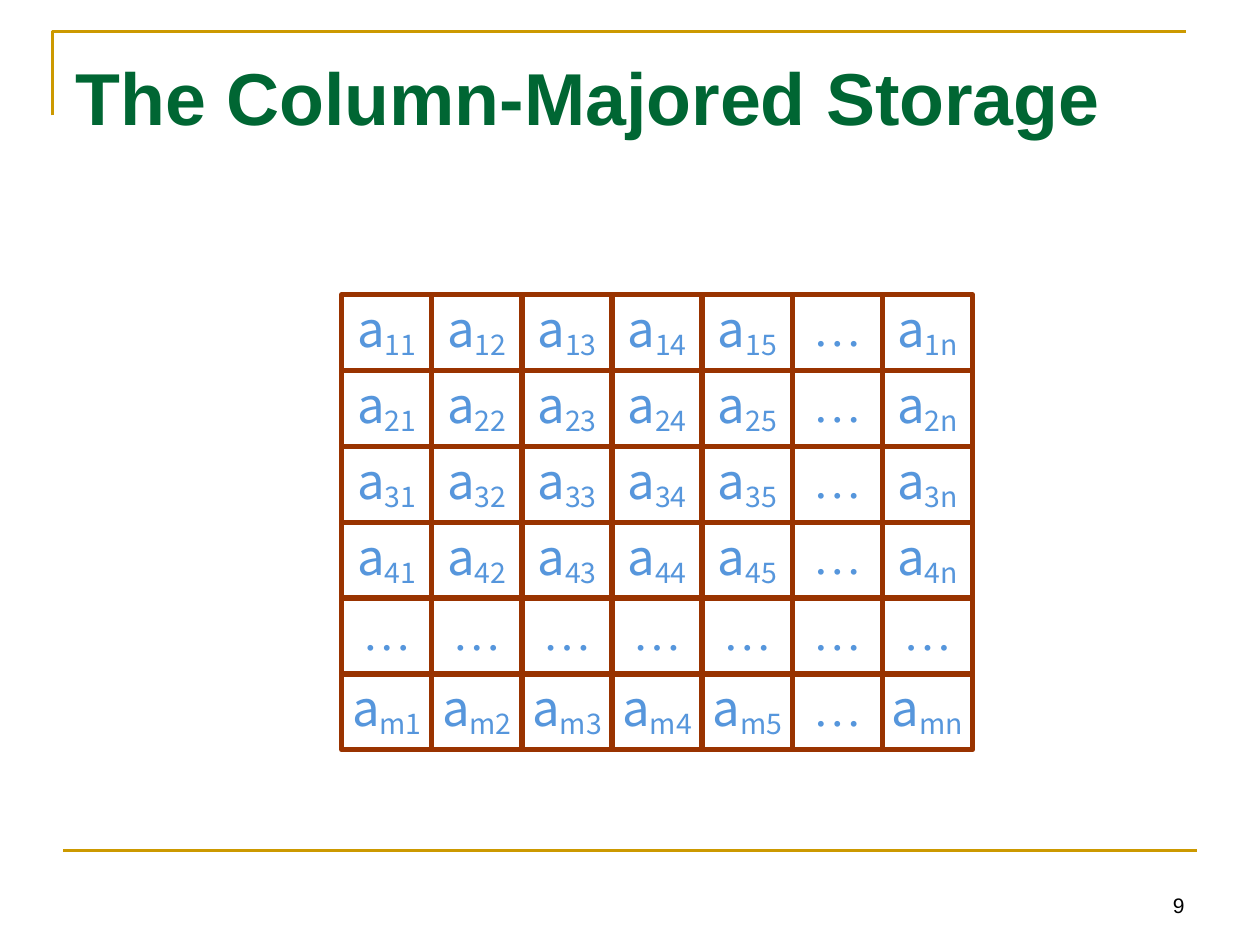
import pptx
import pptx.util
import pptx.dml.color
import pptx.enum.shapes
import pptx.enum.text
import pptx.oxml.ns
import lxml.etree

Pt = pptx.util.Pt
RGBColor = pptx.dml.color.RGBColor
MSO_ANCHOR = pptx.enum.text.MSO_ANCHOR
PP_ALIGN = pptx.enum.text.PP_ALIGN

GOLD = RGBColor(0xCC, 0x99, 0x00)
GREEN = RGBColor(0x00, 0x66, 0x33)
BROWN = RGBColor(0x99, 0x33, 0x00)
BLUE = RGBColor(0x56, 0x96, 0xDC)
WHITE = RGBColor(0xFF, 0xFF, 0xFF)
BLACK = RGBColor(0x00, 0x00, 0x00)

CELL_LEFT, CELL_TOP = 195.25, 168.4
CELL_W, CELL_H = 51.5, 43.35
ROWS = ["1", "2", "3", "4", "…", "m"]
COLUMNS = ["1", "2", "3", "4", "5", "…", "n"]

prs = pptx.Presentation()
prs.slide_width, prs.slide_height = Pt(720), Pt(540)
s = prs.slides.add_slide(prs.slide_layouts[6])


def add_text(text, left, top, width, height, size, color):
    """Add a one-paragraph Arial text box and return its frame and paragraph."""
    tf = s.shapes.add_textbox(Pt(left), Pt(top), Pt(width), Pt(height)).text_frame
    tf.word_wrap = True
    p = tf.paragraphs[0]
    p.text = text
    p.font.name, p.font.size = "Arial", Pt(size)
    p.font.color.rgb = color
    return tf, p


# Gold frame lines
fb = s.shapes.build_freeform(Pt(30), Pt(66))
fb.add_line_segments([(Pt(30), Pt(18)), (Pt(678), Pt(18))], close=False)
corner = fb.convert_to_shape()
corner.shadow.inherit = False
corner.fill.background()
rule = s.shapes.add_connector(
    pptx.enum.shapes.MSO_CONNECTOR.STRAIGHT, Pt(36), Pt(486), Pt(684), Pt(486))
lxml.etree.SubElement(rule._element.spPr, pptx.oxml.ns.qn("a:effectLst"))
for sp in (corner, rule):
    sp.line.color.rgb = GOLD
    sp.line.width = Pt(1.5)

# Title and slide number
tf, p = add_text("The Column-Majored Storage", 36, 21.6, 648, 90, 42, GREEN)
tf.margin_top = Pt(8)
p.font.bold = True
tf, p = add_text("9", 516, 492, 168, 36, 12, BLACK)
tf.vertical_anchor = MSO_ANCHOR.BOTTOM
p.alignment = PP_ALIGN.RIGHT

# Matrix of elements
for i, row in enumerate(ROWS):
    for j, column in enumerate(COLUMNS):
        sp = s.shapes.add_shape(
            pptx.enum.shapes.MSO_SHAPE.RECTANGLE,
            Pt(CELL_LEFT + j * CELL_W), Pt(CELL_TOP + i * CELL_H),
            Pt(CELL_W), Pt(CELL_H))
        sp.shadow.inherit = False
        sp.fill.solid()
        sp.fill.fore_color.rgb = WHITE
        sp.line.color.rgb = BROWN
        sp.line.width = Pt(3)
        tf = sp.text_frame
        tf.word_wrap = False
        tf.vertical_anchor = MSO_ANCHOR.MIDDLE
        p = tf.paragraphs[0]
        p.alignment = PP_ALIGN.CENTER
        p.line_spacing = 0.8
        p.space_before = Pt(5.6)
        p.font.size = Pt(28)
        p.font.color.rgb = BLUE
        if "…" in (row, column):
            p.font.name = "Times New Roman"
            p.add_run().text = "…"
        else:
            p.font.name = "Noto Sans CJK SC"
            p.add_run().text = "a"
            r = p.add_run()
            r.text = row + column
            r.font._element.set("baseline", "-16000")

prs.save("out.pptx")
